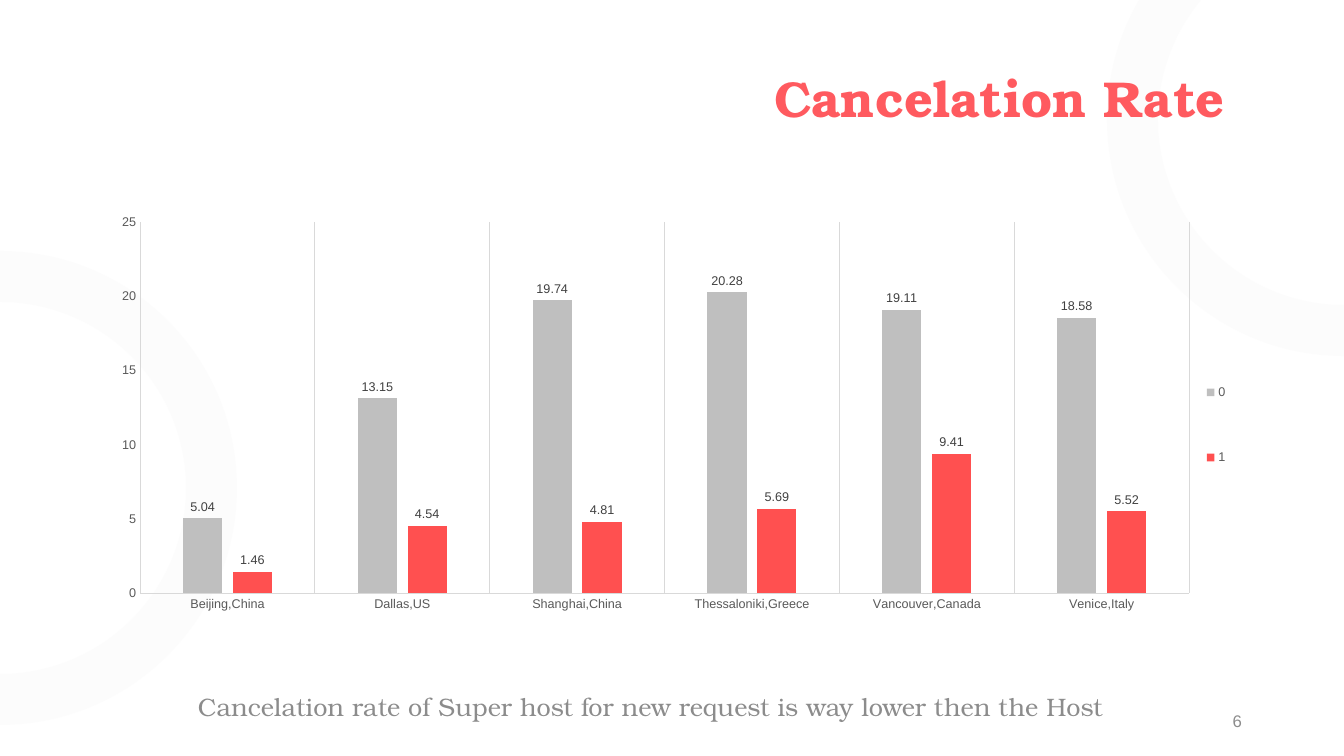
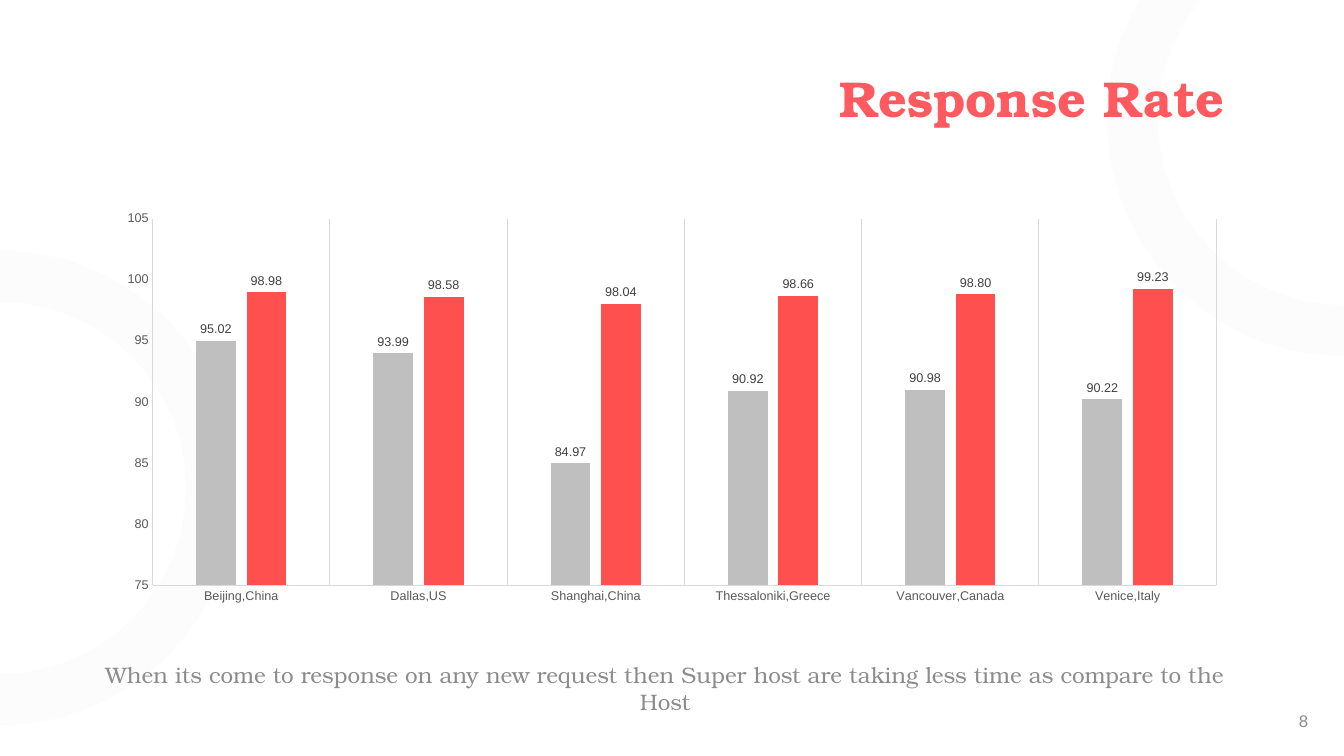
"""Build two host comparison slides, each with a column chart and a takeaway."""
from math import asin, cos, pi, sin, tan

from lxml.etree import SubElement
from pptx import Presentation
from pptx.chart.data import CategoryChartData
from pptx.dml.color import RGBColor
from pptx.enum.chart import XL_CHART_TYPE, XL_LABEL_POSITION, XL_LEGEND_POSITION, XL_TICK_MARK
from pptx.enum.text import MSO_ANCHOR, PP_ALIGN
from pptx.oxml.ns import qn
from pptx.util import Inches, Pt

PX = Inches(1) / 100.8
WIDTH, HEIGHT = 1344, 756

CORAL = RGBColor(0xFF, 0x5A, 0x5F)
RED = RGBColor(0xFF, 0x50, 0x50)
SILVER = RGBColor(0xBF, 0xBF, 0xBF)
MIST = RGBColor(0xF2, 0xF2, 0xF2)
RULE = RGBColor(0xD9, 0xD9, 0xD9)
GRAY = RGBColor(0x8C, 0x8C, 0x8C)
AXIS_GRAY = RGBColor(0x59, 0x59, 0x59)
LABEL_GRAY = RGBColor(0x40, 0x40, 0x40)
BLACK = RGBColor(0, 0, 0)

SERIF, SANS = "TeX Gyre Bonum", "Arial"
TITLE_BOX = (109, 60, 1126, 83)
RING_RADII = (237, 186)
RING_OPACITY = 20000
CURVE_STARTS = (0, 3, 7, 10)

CITIES = ["Beijing,China", "Dallas,US", "Shanghai,China",
          "Thessaloniki,Greece", "Vancouver,Canada", "Venice,Italy"]

SLIDES = [
    {
        "title": "Cancelation Rate",
        "caption": "Cancelation rate of Super host for new request is way lower then the Host",
        "caption_box": (104, 673, 1093, 66),
        "caption_size": 18,
        "number": "6",
        "number_box": (950, 701, 302, 40),
        "chart_box": (105, 203, 1134, 411),
        "plot": (0.031, 0.047, 0.925, 0.903),
        "legend": (0.965, 0.32, 0.03, 0.44),
        "scale": {"minimum_scale": 0, "maximum_scale": 25, "major_unit": 5},
        "rates": {"0": [5.04, 13.15, 19.74, 20.28, 19.11, 18.58],
                  "1": [1.46, 4.54, 4.81, 5.69, 9.41, 5.52]},
    },
    {
        "title": "Response Rate",
        "caption": "When its come to response on any new request then Super host "
                   "are taking less time as compare to the Host",
        "caption_box": (79, 635, 1172, 106),
        "caption_size": 16,
        "number": "8",
        "number_box": (1016, 701, 302, 40),
        "chart_box": (105, 203, 1134, 409),
        "plot": (0.042, 0.038, 0.938, 0.897),
        "legend": None,
        "scale": {"minimum_scale": 75, "maximum_scale": 105, "major_unit": 5},
        "rates": {"Series 1": [95.02, 93.99, 84.97, 90.92, 90.98, 90.22],
                  "Series 2": [98.98, 98.58, 98.04, 98.66, 98.8, 99.23]},
    },
]


def px(*lengths):
    return [round(length * PX) for length in lengths]


def assign(target, **formats):
    for attribute, value in formats.items():
        setattr(target, attribute, value)


def style_font(font, face, size, color, bold=False):
    assign(font, name=face, size=Pt(size), bold=bold)
    font.color.rgb = color


def style_rule(line):
    line.color.rgb = RULE
    line.width = Pt(0.75)


def add_text(slide, box, text, align, face, size, color, bold=False, spacing=None):
    frame = slide.shapes.add_textbox(*px(*box)).text_frame
    assign(frame, word_wrap=True, vertical_anchor=MSO_ANCHOR.MIDDLE)
    paragraph = frame.paragraphs[0]
    assign(paragraph, alignment=align, line_spacing=spacing)
    run = paragraph.add_run()
    run.text = text
    style_font(run.font, face, size, color, bold)


def arc(center, radius, side):
    """Return Bezier points from the foot of a circle to its top or the slide's top edge."""
    x, y = center

    def spot(angle, reach=0):
        across = cos(angle) - reach * sin(angle)
        up = sin(angle) + reach * cos(angle)
        return tuple(px(x + side * radius * across, y - radius * up))

    top = asin(min(1, y / radius))
    points = [spot(-pi / 2)]
    for start, end in ((-pi / 2, 0), (0, top)):
        reach = 4 / 3 * tan((end - start) / 4)
        points += [spot(start, reach), spot(end, -reach), spot(end)]
    return points


def add_half_ring(slide, center, side):
    outer, inner = (arc(center, radius, side) for radius in RING_RADII)
    outline = slide.shapes.build_freeform(*outer[0])
    outline.add_line_segments(outer[1:] + inner[::-1], close=True)
    ring = outline.convert_to_shape()
    ring.shadow.inherit = False
    ring.fill.solid()
    ring.fill.fore_color.rgb = MIST
    ring.line.fill.background()
    properties = ring._element.spPr
    tint = properties.find(".//" + qn("a:srgbClr"))
    SubElement(tint, qn("a:alpha")).set("val", str(RING_OPACITY))

    edges = properties.findall(".//" + qn("a:lnTo"))
    for first in CURVE_STARTS:
        bend = edges[first:first + 3]
        curve = SubElement(bend[0].getparent(), qn("a:cubicBezTo"))
        bend[0].addprevious(curve)
        for edge in bend:
            curve.append(edge[0])
            edge.getparent().remove(edge)


def place(element, index, fractions, **targets):
    """Give a chart part a fixed place as fractions of the chart."""
    for previous in element.findall(qn("c:layout")):
        element.remove(previous)
    layout = SubElement(element, qn("c:layout"))
    element.insert(index, layout)
    manual = SubElement(layout, qn("c:manualLayout"))
    settings = {**targets, "xMode": "edge", "yMode": "edge", **dict(zip("xywh", fractions))}
    for tag, value in settings.items():
        SubElement(manual, qn("c:" + tag)).set("val", str(value))


def add_rates(slide, content):
    rates = CategoryChartData(number_format="General")
    rates.categories = CITIES
    for name, values in content["rates"].items():
        rates.add_series(name, values)
    chart = slide.shapes.add_chart(
        XL_CHART_TYPE.COLUMN_CLUSTERED, *px(*content["chart_box"]), rates).chart
    assign(chart, has_title=False, has_legend=bool(content["legend"]))
    style_font(chart.font, SANS, 10, BLACK)

    for axis in (chart.category_axis, chart.value_axis):
        assign(axis, major_tick_mark=XL_TICK_MARK.NONE, minor_tick_mark=XL_TICK_MARK.NONE)
        style_font(axis.tick_labels.font, SANS, 9, AXIS_GRAY)
    chart.category_axis.has_major_gridlines = True
    style_rule(chart.category_axis.format.line)
    style_rule(chart.category_axis.major_gridlines.format.line)
    assign(chart.value_axis, has_major_gridlines=False, **content["scale"])
    chart.value_axis.format.line.fill.background()

    plot = chart.plots[0]
    assign(plot, gap_width=219, overlap=-27, vary_by_categories=False)
    for series, color in zip(plot.series, (SILVER, RED)):
        series.format.fill.solid()
        series.format.fill.fore_color.rgb = color
        labels = series.data_labels
        assign(labels, show_value=True, position=XL_LABEL_POSITION.OUTSIDE_END,
               number_format="#,##0.00", number_format_is_linked=False)
        style_font(labels.font, SANS, 9, LABEL_GRAY)

    plot_area = chart._chartSpace.find(".//" + qn("c:plotArea"))
    place(plot_area, 0, content["plot"], layoutTarget="inner")
    if content["legend"]:
        legend = chart.legend
        assign(legend, position=XL_LEGEND_POSITION.RIGHT, include_in_layout=False)
        style_font(legend.font, SANS, 9, AXIS_GRAY)
        place(legend._element, 1, content["legend"])


def main():
    deck = Presentation()
    deck.slide_width, deck.slide_height = px(WIDTH, HEIGHT)
    for content in SLIDES:
        slide = deck.slides.add_slide(deck.slide_layouts[6])
        add_half_ring(slide, (0, 488), 1)
        add_half_ring(slide, (WIDTH, 119), -1)
        add_text(slide, TITLE_BOX, content["title"], PP_ALIGN.RIGHT,
                 SERIF, 36, CORAL, bold=True, spacing=0.9)
        add_text(slide, content["caption_box"], content["caption"], PP_ALIGN.CENTER,
                 SERIF, content["caption_size"], GRAY)
        add_text(slide, content["number_box"], content["number"], PP_ALIGN.RIGHT,
                 SANS, 12, GRAY)
        add_rates(slide, content)
    deck.save("out.pptx")


if __name__ == "__main__":
    main()
